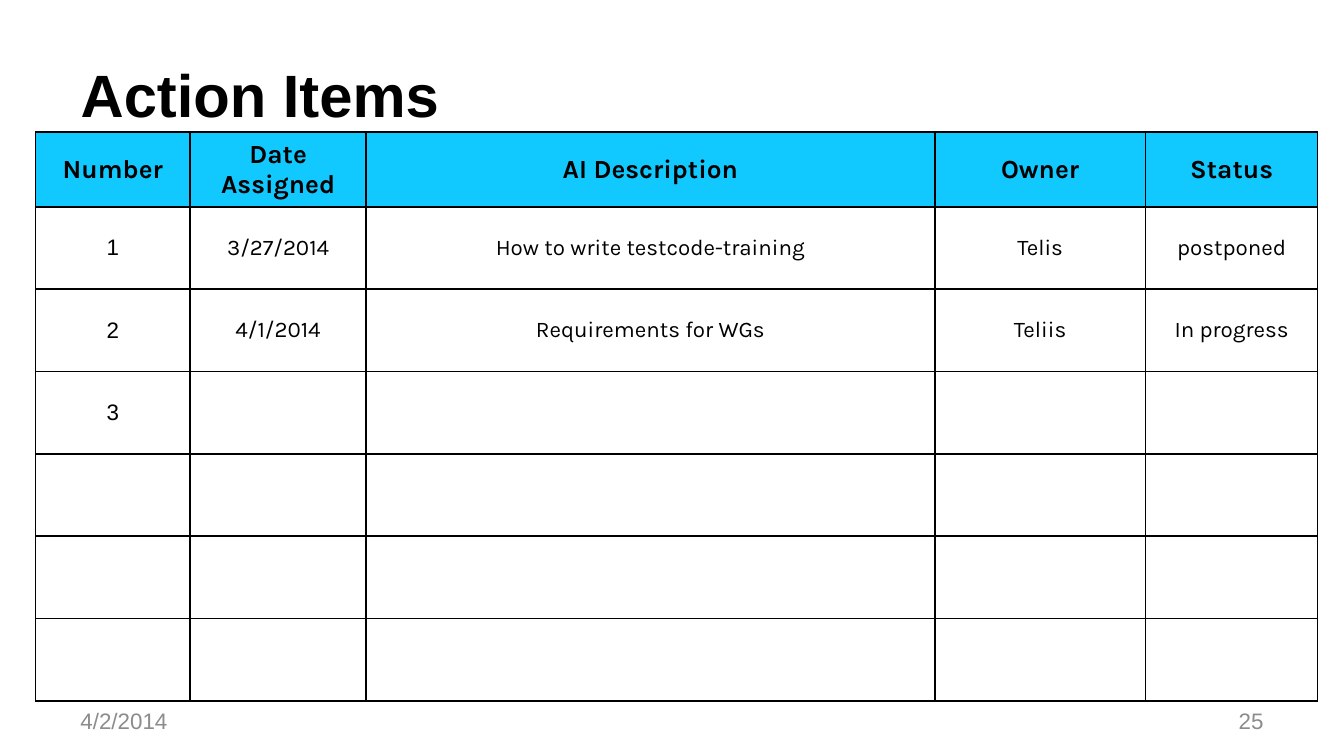
"""Build the action items slide: title, table, date and page number."""
from dataclasses import dataclass

from lxml import etree
from pptx import Presentation
from pptx import util as u
from pptx.dml.color import RGBColor
from pptx.enum import text as t
from pptx.oxml.ns import qn


@dataclass(frozen=True)
class Theme:
    ink: str = "000000"
    head: str = "11C9FF"
    mute: str = "8C8C8C"
    sans: str = "Arial"
    body: str = "Karla"
    title: int = 32
    top: int = 14
    small: int = 12
    rule: int = 1


@dataclass(frozen=True)
class Box:
    left: float
    top: float
    width: float
    height: float


@dataclass(frozen=True)
class Note:
    words: str
    box: Box
    align: t.PP_ALIGN


THEME = Theme()
WIDTH = u.Inches(10)
HEIGHT = WIDTH * 9 // 16
COLS = [11.5, 13.1, 42.3, 15.7, 12.8]
ROWS = [9.85] + [10.9] * 6
GRID = Box(2.65, 17.5, sum(COLS), sum(ROWS))
TITLE = Box(5, 4.1, 90, 16.7)
CELLS = [
    ["Number", "Date Assigned", "AI Description", "Owner", "Status"],
    ["1", "3/27/2014", "How to write testcode-training", "Telis", "postponed"],
    ["2", "4/1/2014", "Requirements for WGs", "Teliis", "In progress"],
    ["3"],
]
NOTES = [
    Note("4/2/2014", Box(5, 92.7, 23.3, 5.34), t.PP_ALIGN.LEFT),
    Note("25", Box(71.7, 92.7, 23.3, 5.34), t.PP_ALIGN.RIGHT),
]


def across(share: float) -> int:
    return round(WIDTH * share / 100)


def down(share: float) -> int:
    return round(HEIGHT * share / 100)


def place(box: Box) -> tuple[int, int, int, int]:
    return across(box.left), down(box.top), across(box.width), down(box.height)


def style(par, font: str, size: int, color: str, align: t.PP_ALIGN, bold: bool = False) -> None:
    par.alignment = align
    par.font.name, par.font.size, par.font.bold = font, u.Pt(size), bold
    par.font.color.rgb = RGBColor.from_string(color)


def border(cell) -> None:
    props = cell._tc.get_or_add_tcPr()
    for spot, side in enumerate(("a:lnL", "a:lnR", "a:lnT", "a:lnB")):
        line = etree.Element(qn(side), w=str(u.Pt(THEME.rule)))
        fill = etree.SubElement(line, qn("a:solidFill"))
        etree.SubElement(fill, qn("a:srgbClr"), val=THEME.ink)
        props.insert(spot, line)


def draw_title(slide, words: str) -> None:
    title = slide.shapes.title
    title.left, title.top, title.width, title.height = place(TITLE)
    title.text_frame.text = words
    title.text_frame.vertical_anchor = t.MSO_ANCHOR.MIDDLE
    style(title.text_frame.paragraphs[0], THEME.sans, THEME.title, THEME.ink,
          t.PP_ALIGN.LEFT, True)


def draw_cell(cell, words: str, row: int, col: int) -> None:
    head = row == 0
    if head:
        cell.fill.solid()
        cell.fill.fore_color.rgb = RGBColor.from_string(THEME.head)
    else:
        cell.fill.background()
    border(cell)
    cell.vertical_anchor = t.MSO_ANCHOR.MIDDLE
    cell.margin_left = cell.margin_right = u.Inches(0.13)
    if words:
        cell.text = words
        font = THEME.body if head or col else THEME.sans
        style(cell.text_frame.paragraphs[0], font, THEME.top if head else THEME.small,
              THEME.ink, t.PP_ALIGN.CENTER, head)


def draw_table(slide) -> None:
    table = slide.shapes.add_table(len(ROWS), len(COLS), *place(GRID)).table
    table.first_row = table.horz_banding = False
    for col, share in zip(table.columns, COLS):
        col.width = across(share)
    for row, share in enumerate(ROWS):
        table.rows[row].height = down(share)
        words = CELLS[row] if row < len(CELLS) else []
        for col in range(len(COLS)):
            draw_cell(table.cell(row, col), words[col] if col < len(words) else "", row, col)


def draw_note(slide, note: Note) -> None:
    frame = slide.shapes.add_textbox(*place(note.box)).text_frame
    frame.word_wrap = True
    frame.vertical_anchor = t.MSO_ANCHOR.MIDDLE
    frame.text = note.words
    style(frame.paragraphs[0], THEME.sans, THEME.small, THEME.mute, note.align)


def main() -> None:
    deck = Presentation()
    deck.slide_width, deck.slide_height = WIDTH, HEIGHT
    slide = deck.slides.add_slide(deck.slide_layouts[5])
    draw_title(slide, "Action Items")
    draw_table(slide)
    for note in NOTES:
        draw_note(slide, note)
    deck.save("out.pptx")


if __name__ == "__main__":
    main()
